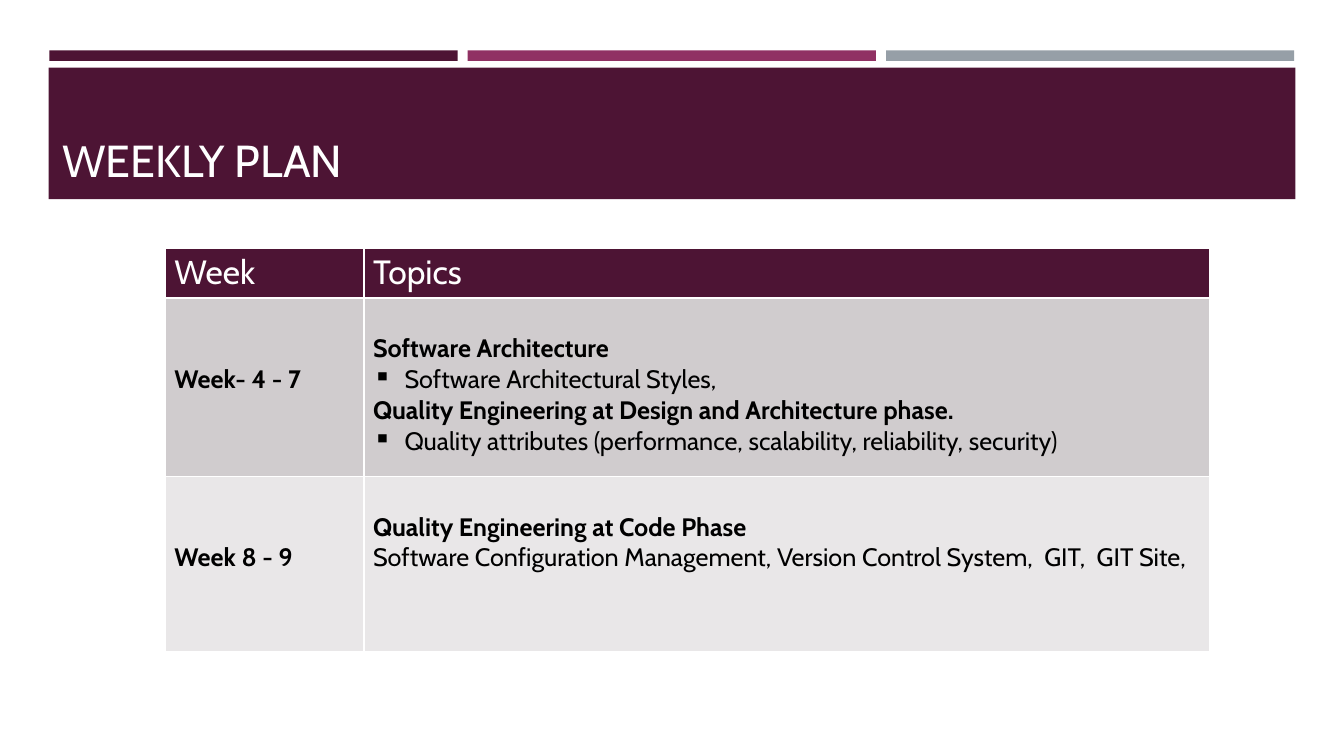
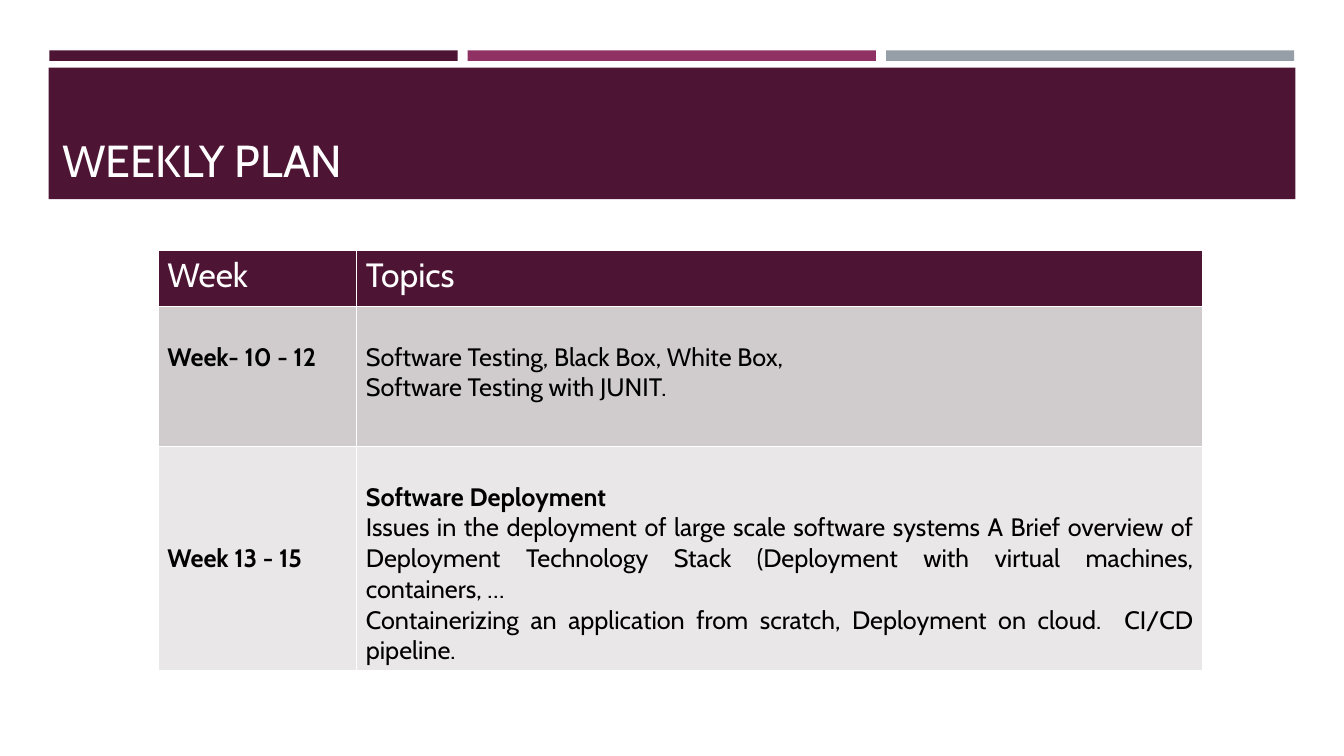
from lxml.etree import SubElement
from pptx import Presentation
from pptx.dml.color import RGBColor
from pptx.enum.text import MSO_ANCHOR, MSO_AUTO_SIZE, PP_ALIGN
from pptx.oxml.ns import qn
from pptx.util import Pt

FONT = "Cabin"
PLUM, MAGENTA, GREY = "4D1434", "903163", "969FA7"
WHITE, BLACK = "FFFFFF", "000000"
ROW_FILLS = ["D0CCCE", "E9E7E8"]
LINE_HEIGHT = 22
MARGIN_X, MARGIN_Y = 6.5, 3.3
BULLET_INDENT = 22.5


def rgb(color):
    return RGBColor.from_string(color)


def add_run(paragraph, text, size, color, bold=False):
    run = paragraph.add_run()
    run.text = text
    run.font.name = FONT
    run.font.size = Pt(size)
    run.font.bold = bold
    run.font.color.rgb = rgb(color)


# Each row: height, blank lines above the week, week, topics as (style, text)
plans = [
    {
        "left": 118.1, "top": 177.1, "header_height": 33.8,
        "rows": [
            (127.4, 2, "Week- 4 - 7", [
                ("bold", "Software Architecture"),
                ("bullet", "Software Architectural Styles, "),
                ("bold", "Quality Engineering at Design and Architecture phase. "),
                ("bullet", "Quality attributes (performance, scalability, reliability, security)"),
            ]),
            (125.3, 2, "Week 8 - 9", [
                ("bold", "Quality Engineering at Code Phase"),
                ("plain", "Software Configuration Management, Version Control System,  GIT,  GIT Site, "),
            ]),
        ],
    },
    {
        "left": 113, "top": 178.6, "header_height": 40.3,
        "rows": [
            (100, 1, "Week- 10 - 12", [
                ("plain", "Software Testing, Black Box, White Box, "),
                ("plain", "Software Testing with JUNIT. "),
            ]),
            (152.6, 3, "Week 13 - 15", [
                ("bold", "Software Deployment "),
                ("plain", "Issues in the deployment of large scale software systems A Brief overview "
                          "of Deployment Technology Stack (Deployment with virtual machines, containers, …"),
                ("plain", "Containerizing an application from scratch, Deployment on cloud.  CI/CD pipeline."),
            ]),
        ],
    },
]

prs = Presentation()
prs.slide_width, prs.slide_height = Pt(960), Pt(540)
layout = prs.slide_layouts[5]
slides = [prs.slides.add_slide(layout) for plan in plans]

# Shared bands: drawn once, then moved to the back of the layout
bands = [(35.3 + 298.8 * i, 36, 291.6, 7.5, color)
         for i, color in enumerate([PLUM, MAGENTA, GREY])]
bands.append((34.8, 48.4, 890.6, 93.8, PLUM))
for i, (left, top, width, height, color) in enumerate(bands):
    band = slides[0].shapes.add_shape(1, Pt(left), Pt(top), Pt(width), Pt(height))
    band.shadow.inherit = False
    band.fill.solid()
    band.fill.fore_color.rgb = rgb(color)
    band.line.fill.background()
    band._element.nvSpPr.cNvPr.set("id", str(101 + i))
    layout.shapes._spTree.insert(2 + i, band._element)

for slide, plan in zip(slides, plans):
    title = slide.shapes.title
    title.left, title.top, title.width, title.height = Pt(37.4), Pt(77), Pt(868.3), Pt(59.8)
    title.text_frame.vertical_anchor = MSO_ANCHOR.BOTTOM
    title.text_frame.auto_size = MSO_AUTO_SIZE.NONE
    heading = title.text_frame.paragraphs[0]
    heading.alignment = PP_ALIGN.LEFT
    add_run(heading, "WEEKLY PLAN", 32, WHITE)

    heights = [plan["header_height"]] + [row[0] for row in plan["rows"]]
    schedule = slide.shapes.add_table(
        len(heights), 2, Pt(plan["left"]), Pt(plan["top"]), Pt(746), Pt(sum(heights))).table
    schedule.columns[0].width, schedule.columns[1].width = Pt(141.9), Pt(604.1)
    for row, height in zip(schedule.rows, heights):
        row.height = Pt(height)

    for cell, fill in zip(schedule.iter_cells(),
                          [color for color in [PLUM] + ROW_FILLS for column in range(2)]):
        cell.fill.solid()
        cell.fill.fore_color.rgb = rgb(fill)
        cell.margin_left = cell.margin_right = Pt(MARGIN_X)
        cell.margin_top = cell.margin_bottom = Pt(MARGIN_Y)

    for column, label in enumerate(["Week", "Topics"]):
        add_run(schedule.cell(0, column).text_frame.paragraphs[0], label, 24, WHITE)

    for i, (height, blank_lines, week, topics) in enumerate(plan["rows"], 1):
        week_cell, topics_cell = schedule.cell(i, 0), schedule.cell(i, 1)
        week_cell.margin_top = Pt(MARGIN_Y + blank_lines * LINE_HEIGHT)
        topics_cell.margin_top = Pt(MARGIN_Y + LINE_HEIGHT)
        add_run(week_cell.text_frame.paragraphs[0], week, 18, BLACK, bold=True)
        for j, (style, text) in enumerate(topics):
            frame = topics_cell.text_frame
            topic = frame.add_paragraph() if j else frame.paragraphs[0]
            topic.alignment = PP_ALIGN.JUSTIFY
            if style == "bullet":
                properties = topic._p.get_or_add_pPr()
                properties.set("marL", str(Pt(BULLET_INDENT)))
                properties.set("indent", str(-Pt(BULLET_INDENT)))
                SubElement(properties, qn("a:buChar")).set("char", "▪")
            add_run(topic, text, 18, BLACK, bold=style == "bold")

prs.save("out.pptx")
